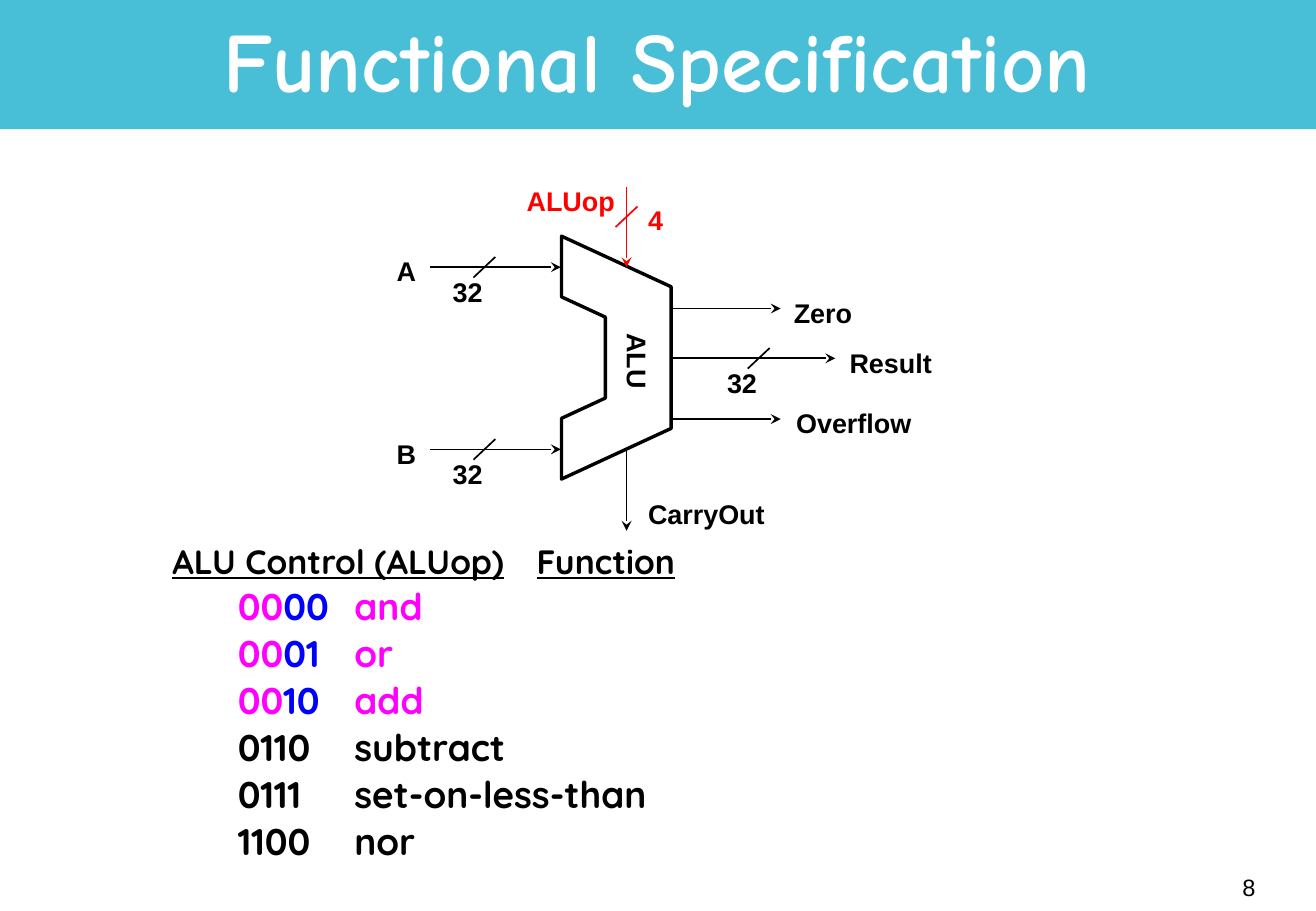
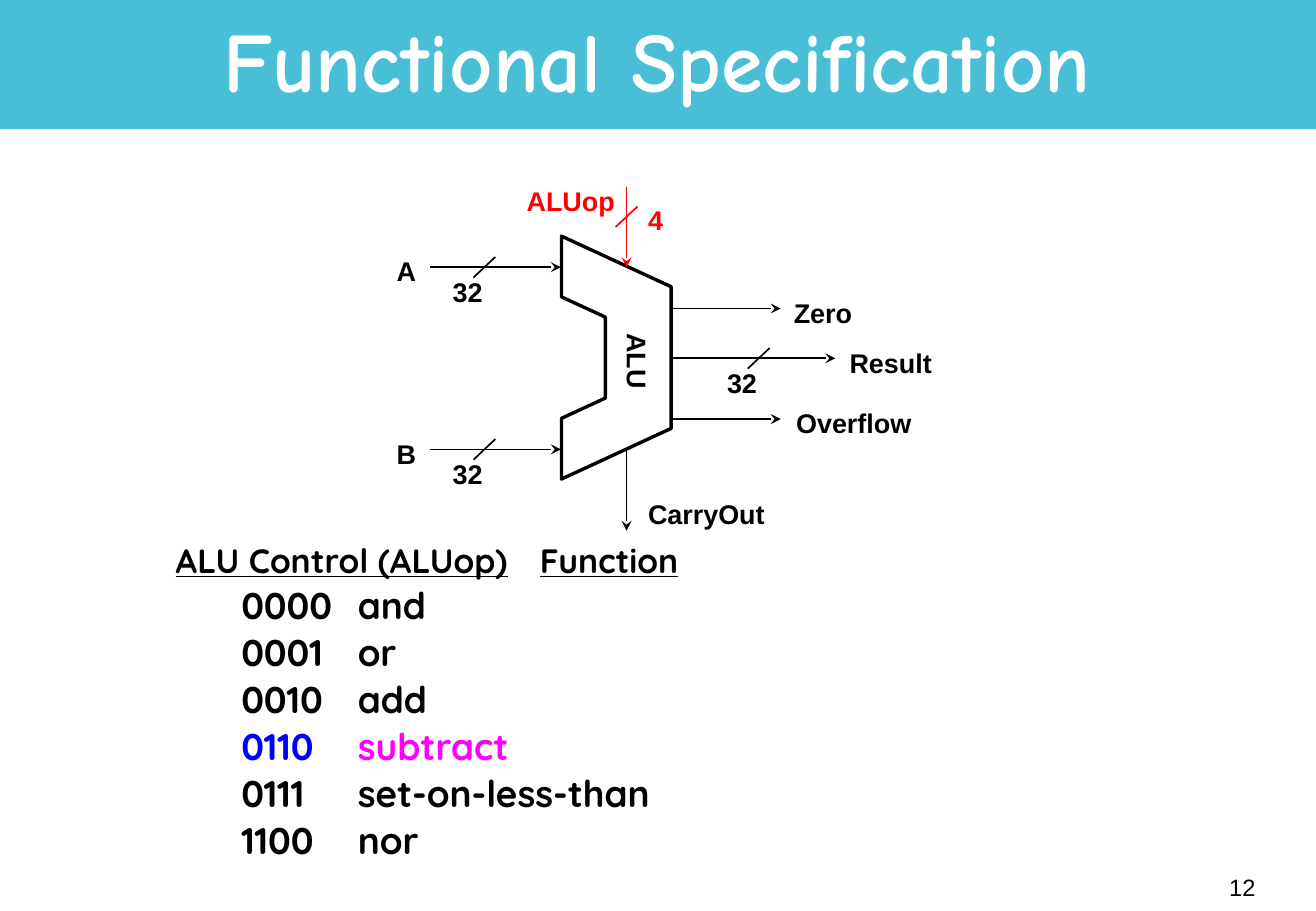
import dataclasses

import pptx
import pptx.dml.color
import pptx.enum.dml
import pptx.enum.shapes
import pptx.enum.text
import pptx.oxml.ns
import pptx.util
from lxml import etree

Pt = pptx.util.Pt
qualified = pptx.oxml.ns.qn


def rgb(value):
    return pptx.dml.color.RGBColor.from_string(value)


@dataclasses.dataclass(frozen=True)
class Theme:
    band = rgb("49BFD7")
    black = rgb("000000")
    white = rgb("FFFFFF")
    red = rgb("FF0000")
    blue = rgb("0000FF")
    magenta = rgb("FF00FF")
    title_font = "Comic Neue"
    label_font = "Arial"
    table_font = "Quicksand"
    title_size = 50
    row_size = 22
    heading_size = 20
    label_size = 16
    number_size = 14
    outline_width = 2
    wire_width = 1


THEME = Theme()
SLIDE_WIDTH, SLIDE_HEIGHT = 780.48, 540
BAND_HEIGHT = 76.5

ALU_LEFT, ALU_NOTCH, ALU_RIGHT = 332.6, 358.6, 398.2
ALU_MIDDLE = 212.4
INPUT_OFFSET = 54
CONTROL_X = 371.6

FUNCTIONS = [
    ("0000", "and"),
    ("0001", "or"),
    ("0010", "add"),
    ("0110", "subtract"),
    ("0111", "set-on-less-than"),
    ("1100", "nor"),
]


def style_font(font, name, size, color, bold=False):
    font.name = name
    font.size = Pt(size)
    font.color.rgb = color
    font.bold = bold


def add_run(paragraph, text, color=None, underline=None):
    run = paragraph.add_run()
    run.text = text
    if color is not None:
        run.font.color.rgb = color
    run.font.underline = underline


def add_band(slide):
    band = slide.shapes.add_shape(
        pptx.enum.shapes.MSO_SHAPE.RECTANGLE, 0, 0, Pt(SLIDE_WIDTH), Pt(BAND_HEIGHT))
    band.shadow.inherit = False
    band.fill.solid()
    band.fill.fore_color.rgb = THEME.band
    band.line.fill.background()
    slide.slide_layout.shapes._spTree.insert(2, band._element)


def set_title(slide, text):
    title = slide.shapes.title
    title.left, title.top = Pt(58.3), Pt(3.6)
    title.width, title.height = Pt(663), Pt(71.3)
    frame = title.text_frame
    frame.text = text
    frame.auto_size = pptx.enum.text.MSO_AUTO_SIZE.NONE
    frame.vertical_anchor = pptx.enum.text.MSO_ANCHOR.MIDDLE
    paragraph = frame.paragraphs[0]
    paragraph.alignment = pptx.enum.text.PP_ALIGN.CENTER
    paragraph.line_spacing = 0.85
    style_font(paragraph.font, THEME.title_font, THEME.title_size, THEME.white, True)


def add_page_number(slide, number):
    box = slide.shapes.add_textbox(Pt(589), Pt(507.6), Pt(162.7), Pt(36))
    frame = box.text_frame
    frame.text = str(number)
    frame.word_wrap = True
    frame.vertical_anchor = pptx.enum.text.MSO_ANCHOR.MIDDLE
    paragraph = frame.paragraphs[0]
    paragraph.alignment = pptx.enum.text.PP_ALIGN.RIGHT
    style_font(paragraph.font, THEME.label_font, THEME.number_size, THEME.black)


def add_label(slide, text, left, top, width, color=THEME.black, rotation=0):
    box = slide.shapes.add_textbox(Pt(left), Pt(top), Pt(width), Pt(26.6))
    box.rotation = rotation
    frame = box.text_frame
    frame.word_wrap = False
    frame.text = text
    style_font(frame.paragraphs[0].font, THEME.label_font, THEME.label_size, color, True)


def add_line(slide, start, end, color=THEME.black, arrow=False):
    line = slide.shapes.add_connector(
        pptx.enum.shapes.MSO_CONNECTOR.STRAIGHT, *map(Pt, (*start, *end)))
    line.line.color.rgb = color
    line.line.width = Pt(THEME.wire_width)
    if arrow:
        etree.SubElement(
            line.line._get_or_add_ln(), qualified("a:tailEnd"), type="stealth")
    etree.SubElement(line._element.spPr, qualified("a:effectLst"))


def add_bus_slash(slide, x, y, color=THEME.black):
    add_line(slide, (x + 6.5, y - 6.1), (x - 6.5, y + 6.1), color)


def add_alu_outline(slide):
    upper = [(ALU_NOTCH, 24), (ALU_LEFT, 36), (ALU_LEFT, 72), (ALU_RIGHT, 42)]
    points = [(x, ALU_MIDDLE - offset) for x, offset in upper]
    points += [(x, ALU_MIDDLE + offset) for x, offset in reversed(upper)]
    builder = slide.shapes.build_freeform(*points[0], scale=float(Pt(1)))
    builder.add_line_segments(points[1:], close=True)
    outline = builder.convert_to_shape()
    outline.shadow.inherit = False
    outline.fill.background()
    outline.line.color.rgb = THEME.black
    outline.line.width = Pt(THEME.outline_width)


def add_alu_diagram(slide):
    add_alu_outline(slide)
    add_label(slide, "ALU", 354.2, 200.9, 47.5, rotation=90)

    for name, y in (("A", ALU_MIDDLE - INPUT_OFFSET), ("B", ALU_MIDDLE + INPUT_OFFSET)):
        add_line(slide, (254.9, y), (ALU_LEFT, y), arrow=True)
        add_bus_slash(slide, 287.3, y)
        add_label(slide, name, 228.2, y - 10.8, 25.9)
        add_label(slide, "32", 261.4, y + 1.4, 32.4)

    outputs = [
        ("Zero", -29.5, 463, 463.7, 49),
        ("Result", 0, 495.4, 496.8, 63.4),
        ("Overflow", 36, 463, 465.1, 82.8),
    ]
    for name, offset, wire_end, label_left, label_width in outputs:
        y = ALU_MIDDLE + offset
        add_line(slide, (ALU_RIGHT, y), (wire_end, y), arrow=True)
        add_label(slide, name, label_left, y - 10.8, label_width)
    add_bus_slash(slide, 450, ALU_MIDDLE)
    add_label(slide, "32", 424.1, ALU_MIDDLE + 1.4, 32.4)

    add_line(slide, (CONTROL_X, 110.9), (CONTROL_X, 158.4), THEME.red, arrow=True)
    add_bus_slash(slide, CONTROL_X, 128.5, THEME.red)
    add_label(slide, "4", 377.3, 117.4, 23.8, THEME.red)
    add_label(slide, "ALUop", 305.3, 105.8, 67, THEME.red)

    add_line(slide, (CONTROL_X, 266.4), (CONTROL_X, 314.6), arrow=True)
    add_label(slide, "CarryOut", 377.3, 291.6, 83.5)


def format_row(paragraph, size, tab, indent=0):
    properties = paragraph._p.get_or_add_pPr()
    properties.set("marL", "0")
    properties.set("indent", str(Pt(indent)))
    stops = etree.SubElement(properties, qualified("a:tabLst"))
    etree.SubElement(stops, qualified("a:tab"), pos=str(Pt(tab)), algn="l")
    paragraph.line_spacing = 0.9
    style_font(paragraph.font, THEME.table_font, size, THEME.black, True)


def add_function_list(slide, left, top, highlights):
    box = slide.shapes.add_textbox(Pt(left), Pt(top), Pt(598.3), Pt(221))
    frame = box.text_frame
    frame.word_wrap = True
    frame.margin_left = frame.margin_right = Pt(5)
    frame.margin_top = frame.margin_bottom = Pt(2.2)

    heading = frame.paragraphs[0]
    format_row(heading, THEME.heading_size, tab=314.5)
    add_run(heading, "ALU Control (ALUop)", underline=True)
    add_run(heading, "\t")
    add_run(heading, "Function", underline=True)

    for code, name in FUNCTIONS:
        row = frame.add_paragraph()
        format_row(row, THEME.row_size, tab=294, indent=38.9)
        row.space_before = Pt(4.1)
        if code not in highlights:
            add_run(row, f"{code}\t{name}")
            continue
        prefix = highlights[code]
        if prefix:
            add_run(row, code[:prefix], THEME.magenta)
        add_run(row, code[prefix:] + "\t", THEME.blue)
        add_run(row, name, THEME.magenta)


def main():
    presentation = pptx.Presentation()
    presentation.slide_width = Pt(SLIDE_WIDTH)
    presentation.slide_height = Pt(SLIDE_HEIGHT)
    layout = presentation.slide_layouts[5]

    pages = [
        (8, 97.2, 321.1, {"0000": 2, "0001": 2, "0010": 2}),
        (12, 99.2, 320.2, {"0110": 0}),
    ]
    for index, (number, left, top, highlights) in enumerate(pages):
        slide = presentation.slides.add_slide(layout)
        if index == 0:
            add_band(slide)
        set_title(slide, "Functional Specification")
        add_function_list(slide, left, top, highlights)
        add_alu_diagram(slide)
        add_page_number(slide, number)

    presentation.save("out.pptx")


if __name__ == "__main__":
    main()
